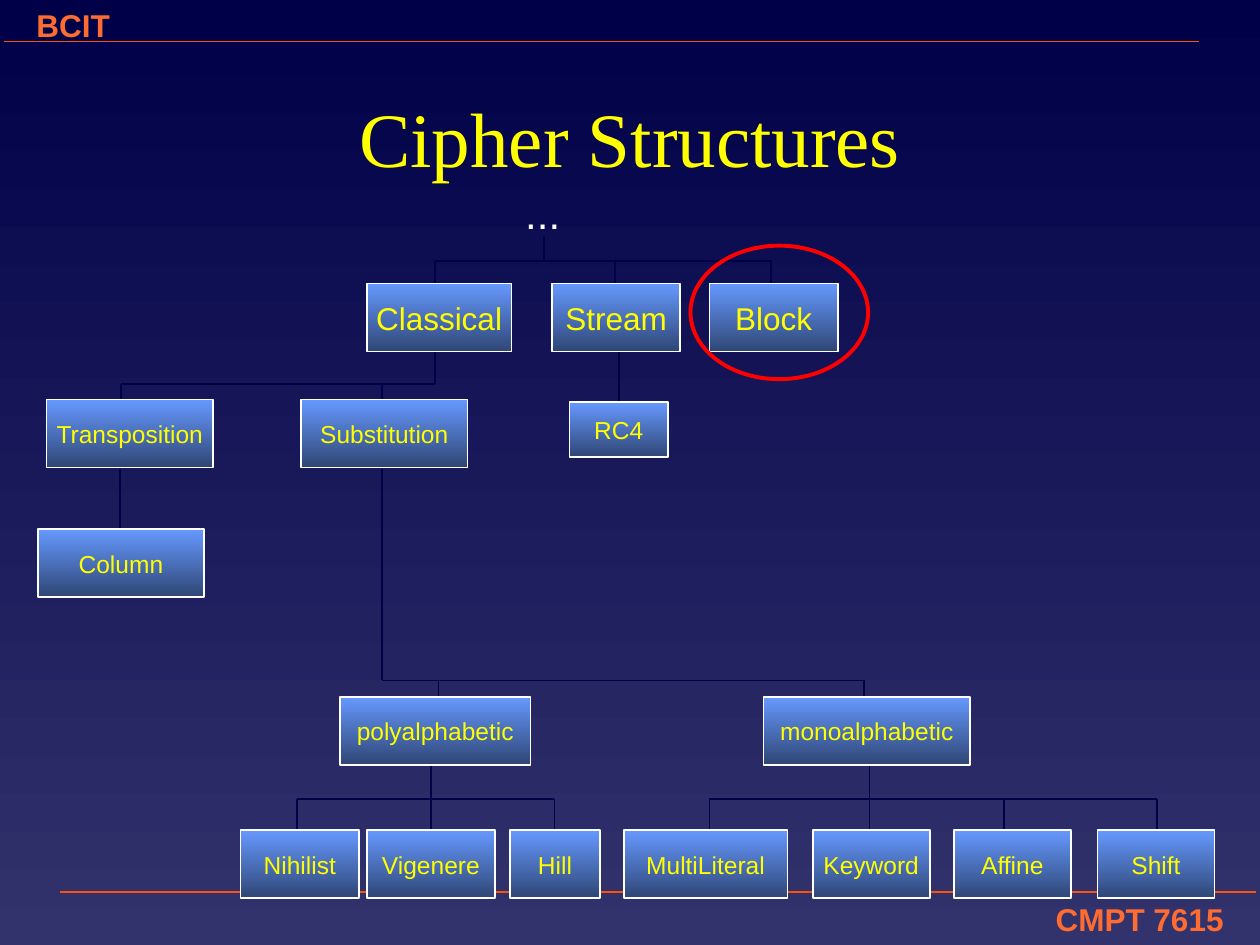
from dataclasses import dataclass

from lxml.etree import SubElement
from pptx import Presentation
from pptx.dml.color import RGBColor
from pptx.enum.shapes import MSO_CONNECTOR, MSO_SHAPE
from pptx.enum.text import MSO_ANCHOR, MSO_AUTO_SIZE, PP_ALIGN
from pptx.oxml.ns import qn
from pptx.util import Inches, Pt


@dataclass(frozen=True)
class Theme:
    back: tuple = ("000048", "32326C")
    box: tuple = ("6699FF", "2F4675")
    edge: str = "FFFFFF"
    link: str = "000048"
    rule: str = "FF5008"
    mark: str = "FF0000"
    text: str = "FFFF00"
    plain: str = "FFFFFF"
    brand: str = "FF6C31"
    sans: str = "Arial"
    serif: str = "Times New Roman"
    title: int = 44
    dots: int = 24
    large: int = 18
    small: int = 14
    thin: float = 1
    thick: float = 2.25


class Chart:
    """Draw the parts of a cipher tree on one slide in one theme."""

    def __init__(self, slide, theme):
        self.slide = slide
        self.theme = theme
        self.shade(slide.background.fill, theme.back)

    def shade(self, fill, tones):
        fill.gradient()
        fill.gradient_angle = 270
        for stop, tone in zip(fill.gradient_stops, tones):
            stop.color.rgb = RGBColor.from_string(tone)

    def stroke(self, line, tone, width):
        line.color.rgb = RGBColor.from_string(tone)
        line.width = Pt(width)

    def letter(self, shape, text, size, tone, face=None, bold=False,
               align=PP_ALIGN.LEFT, anchor=MSO_ANCHOR.TOP, wrap=True):
        frame = shape.text_frame
        frame.text = text
        para = frame.paragraphs[0]
        para.alignment = align
        font = para.runs[0].font
        form = {
            frame: {"word_wrap": wrap, "auto_size": MSO_AUTO_SIZE.NONE,
                    "vertical_anchor": anchor},
            font: {"size": Pt(size), "bold": bold,
                   "name": face or self.theme.sans},
        }
        for part, values in form.items():
            for name, value in values.items():
                setattr(part, name, value)
        font.color.rgb = RGBColor.from_string(tone)

    def title(self, text, *area):
        shape = self.slide.shapes.title
        names = ("left", "top", "width", "height")
        for name, value in zip(names, area):
            setattr(shape, name, Inches(value))
        self.letter(shape, text, self.theme.title, self.theme.text,
                    self.theme.serif, align=PP_ALIGN.CENTER,
                    anchor=MSO_ANCHOR.MIDDLE)

    def label(self, text, area, size, tone, **form):
        shape = self.slide.shapes.add_textbox(*map(Inches, area))
        self.letter(shape, text, size, tone, **form)

    def line(self, start, end, tone=None):
        ends = map(Inches, (*start, *end))
        line = self.slide.shapes.add_connector(MSO_CONNECTOR.STRAIGHT, *ends)
        self.stroke(line.line, tone or self.theme.link, self.theme.thin)
        SubElement(line._element.spPr, qn("a:effectLst"))

    def fork(self, stem, top, bar, kids, low):
        self.line((stem, top), (stem, bar))
        self.line((min(stem, *kids), bar), (max(stem, *kids), bar))
        for kid in kids:
            self.line((kid, bar), (kid, low))

    def box(self, text, area, size):
        shape = self.slide.shapes.add_shape(
            MSO_SHAPE.RECTANGLE, *map(Inches, area))
        shape.shadow.inherit = False
        self.shade(shape.fill, self.theme.box)
        self.stroke(shape.line, self.theme.edge, self.theme.thin)
        self.letter(shape, text, size, self.theme.text, wrap=False,
                    align=PP_ALIGN.CENTER, anchor=MSO_ANCHOR.MIDDLE)

    def ring(self, *area):
        shape = self.slide.shapes.add_shape(
            MSO_SHAPE.OVAL, *map(Inches, area))
        shape.shadow.inherit = False
        shape.fill.background()
        self.stroke(shape.line, self.theme.mark, self.theme.thick)


def main():
    theme = Theme()
    deck = Presentation()
    deck.slide_width, deck.slide_height = Inches(10), Inches(7.5)
    chart = Chart(deck.slides.add_slide(deck.slide_layouts[5]), theme)

    chart.label("CMPT 7615", (5.3, 7.09, 4.51, 0.4), theme.large,
                theme.brand, bold=True, align=PP_ALIGN.RIGHT)
    chart.line((0.48, 7.08), (9.97, 7.08), theme.rule)
    chart.label("BCIT", (0.19, 0, 4.51, 0.4), theme.large,
                theme.brand, bold=True)
    chart.line((0.03, 0.33), (9.52, 0.33), theme.rule)
    chart.title("Cipher Structures", 1.22, 0.42, 7.56, 1.33)
    chart.label("...", (4.07, 1.44, 0.48, 0.5), theme.dots,
                theme.plain, wrap=False)

    forks = (
        (4.32, 1.87, 2.07, (3.45, 4.88, 6.12), 2.25),
        (3.45, 2.79, 3.05, (0.96, 3.03), 3.17),
        (3.03, 3.72, 5.4, (3.48, 6.86), 5.53),
        (3.42, 6.07, 6.34, (2.36, 3.42, 4.4), 6.59),
        (6.9, 6.07, 6.34, (5.63, 6.9, 7.97, 9.18), 6.59),
    )
    for fork in forks:
        chart.fork(*fork)
    for x, top, low in ((0.95, 3.72, 4.2), (4.91, 2.79, 3.19)):
        chart.line((x, top), (x, low))

    rows = (
        (2.25, 0.54, theme.large, (
            ("Classical", 2.91, 1.15), ("Stream", 4.38, 1.02),
            ("Block", 5.63, 1.02))),
        (3.17, 0.54, theme.small, (
            ("Transposition", 0.37, 1.32), ("Substitution", 2.39, 1.32))),
        (3.19, 0.44, theme.small, (("RC4", 4.52, 0.78),)),
        (4.2, 0.54, theme.small, (("Column", 0.3, 1.32),)),
        (5.53, 0.54, theme.small, (
            ("polyalphabetic", 2.7, 1.51), ("monoalphabetic", 6.06, 1.64))),
        (6.59, 0.54, theme.small, (
            ("Nihilist", 1.91, 0.94), ("Vigenere", 2.91, 1.02),
            ("Hill", 4.05, 0.71), ("MultiLiteral", 4.95, 1.3),
            ("Keyword", 6.45, 0.93), ("Affine", 7.57, 0.93),
            ("Shift", 8.71, 0.93))),
    )
    for top, height, size, boxes in rows:
        for text, left, width in boxes:
            chart.box(text, (left, top, width, height), size)
    chart.ring(5.48, 1.95, 1.41, 1.06)
    deck.save("out.pptx")


if __name__ == "__main__":
    main()
